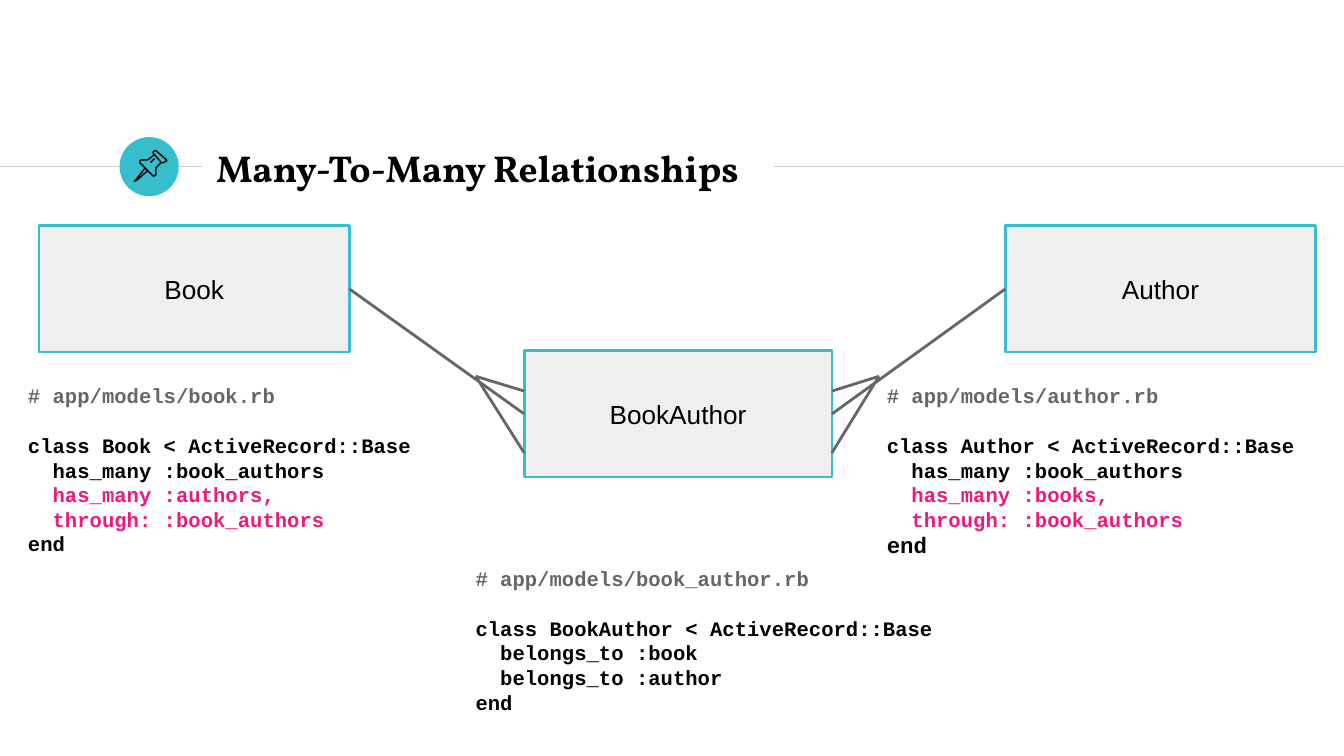
from pptx import Presentation
from pptx.dml.color import RGBColor
from pptx.enum.shapes import MSO_CONNECTOR, MSO_SHAPE
from pptx.enum.text import MSO_ANCHOR, MSO_AUTO_SIZE, PP_ALIGN
from pptx.oxml.ns import qn
from pptx.util import Inches, Pt
from lxml.etree import SubElement

BLACK, GRAY, PINK, TEAL = "000000", "666666", "ED197B", "37BECC"
PALE, RULE = "EFEFEF", "CCCCCC"

PIN_NEEDLE = [(1.08, 1.25), (1.01, 1.34), (1, 1.35), (1.02, 1.34), (1.1, 1.27)]
PIN_CAP = [(1.15, 1.15), (1.2, 1.21), (1.22, 1.21), (1.23, 1.2), (1.24, 1.2),
           (1.24, 1.19), (1.16, 1.12), (1.15, 1.12), (1.14, 1.13), (1.14, 1.14)]
PIN_BODY = [(1.15, 1.15), (1.1, 1.19), (1.07, 1.19), (1.05, 1.19), (1.04, 1.2),
            (1.04, 1.21), (1.14, 1.31), (1.15, 1.31), (1.16, 1.3), (1.16, 1.25),
            (1.2, 1.21)]
PIN_SHINE = [(1.12, 1.21), (1.15, 1.18)]

BOOK_CODE = [
    ("# app/models/book.rb", GRAY, 11),
    ("class Book < ActiveRecord::Base", BLACK, 11),
    ("  has_many :book_authors", BLACK, 11),
    ("  has_many :authors,", PINK, 11),
    ("  through: :book_authors", PINK, 11),
    ("end", BLACK, 11),
]
JOIN_CODE = [
    ("# app/models/book_author.rb", GRAY, 11),
    ("class BookAuthor < ActiveRecord::Base", BLACK, 11),
    ("  belongs_to :book", BLACK, 11),
    ("  belongs_to :author", BLACK, 11),
    ("end", BLACK, 11),
]
AUTHOR_CODE = [
    ("# app/models/author.rb", GRAY, 11),
    ("class Author < ActiveRecord::Base", BLACK, 11),
    ("  has_many :book_authors", BLACK, 11),
    ("  has_many :books,", PINK, 11),
    ("  through: :book_authors", PINK, 11),
    ("end", BLACK, 12),
]


def color(value):
    return RGBColor.from_string(value)


class SlideBuilder:
    """Holds the style and the current slide and draws each kind of element."""

    def __init__(self, slide):
        self.slide = slide
        self.shapes = slide.shapes
        self.label_font = "Arial"
        self.code_font = "Courier New"
        self.title_font = "Vollkorn"

    def style_font(self, font, name, size, value, bold=False):
        font.name = name
        font.size = Pt(size)
        font.bold = bold
        font.color.rgb = color(value)

    def style_frame(self, frame, anchor):
        frame.word_wrap = True
        frame.auto_size = MSO_AUTO_SIZE.NONE
        frame.vertical_anchor = anchor
        frame.margin_left = frame.margin_right = Inches(0.1)
        frame.margin_top = frame.margin_bottom = Inches(0.1)

    def title(self, text, left, top, width, height):
        title = self.shapes.title
        title.left, title.top = Inches(left), Inches(top)
        title.width, title.height = Inches(width), Inches(height)
        frame = title.text_frame
        frame.text = text
        self.style_frame(frame, MSO_ANCHOR.MIDDLE)
        para = frame.paragraphs[0]
        para.alignment = PP_ALIGN.LEFT
        self.style_font(para.runs[0].font, self.title_font, 20, BLACK, True)

    def line(self, start, end, value=GRAY, weight=1.5):
        line = self.shapes.add_connector(
            MSO_CONNECTOR.STRAIGHT, *map(Inches, start + end))
        line.line.color.rgb = color(value)
        line.line.width = Pt(weight)
        SubElement(line._element.spPr, qn("a:effectLst"))

    def disc(self, left, top, size):
        disc = self.shapes.add_shape(
            MSO_SHAPE.OVAL, Inches(left), Inches(top), Inches(size), Inches(size))
        disc.shadow.inherit = False
        disc.fill.solid()
        disc.fill.fore_color.rgb = color(TEAL)
        disc.line.fill.background()

    def outline(self, points, close):
        corners = [(Inches(x), Inches(y)) for x, y in points]
        builder = self.shapes.build_freeform(*corners[0])
        builder.add_line_segments(corners[1:], close=close)
        outline = builder.convert_to_shape()
        outline.shadow.inherit = False
        outline.fill.background()
        outline.line.color.rgb = color(BLACK)
        outline.line.width = Pt(0.75)

    def entity(self, text, left, top, width, height=0.94):
        box = self.shapes.add_shape(
            MSO_SHAPE.RECTANGLE, Inches(left), Inches(top), Inches(width), Inches(height))
        box.shadow.inherit = False
        box.fill.solid()
        box.fill.fore_color.rgb = color(PALE)
        box.line.color.rgb = color(TEAL)
        box.line.width = Pt(1.5)
        frame = box.text_frame
        frame.text = text
        self.style_frame(frame, MSO_ANCHOR.MIDDLE)
        para = frame.paragraphs[0]
        para.alignment = PP_ALIGN.CENTER
        self.style_font(para.runs[0].font, self.label_font, 14, BLACK)

    def code(self, lines, left, top, width, height=1.23):
        box = self.shapes.add_textbox(
            Inches(left), Inches(top), Inches(width), Inches(height))
        frame = box.text_frame
        frame.text = "\n".join(text for text, value, size in lines)
        self.style_frame(frame, MSO_ANCHOR.TOP)
        for para, (text, value, size) in zip(frame.paragraphs, lines):
            self.style_font(para.runs[0].font, self.code_font, size, value, True)
        frame.paragraphs[0].space_after = Pt(13.5)


def main():
    deck = Presentation()
    deck.slide_width = Inches(10)
    deck.slide_height = deck.slide_width * 9 // 16
    page = SlideBuilder(deck.slides.add_slide(deck.slide_layouts[5]))

    page.line((0, 1.24), (1.5, 1.24), RULE, 0.75)
    page.disc(0.89, 1.02, 0.44)
    page.line((5.76, 1.24), (10, 1.24), RULE, 0.75)
    page.title("Many-To-Many Relationships", 1.51, 1.01, 4.24, 0.48)
    for points, close in ((PIN_NEEDLE, True), (PIN_CAP, True),
                          (PIN_BODY, False), (PIN_SHINE, False)):
        page.outline(points, close)

    page.entity("Book", 0.29, 1.68, 2.31)
    page.entity("Author", 7.48, 1.68, 2.31)
    page.entity("BookAuthor", 3.9, 2.61, 2.29)

    for outer, fork, inner in ((2.6, 3.54, 3.9), (7.48, 6.54, 6.19)):
        page.line((outer, 2.15), (inner, 3.08))
        page.line((fork, 2.8), (inner, 2.91))
        page.line((fork, 2.8), (inner, 3.37))

    page.code(BOOK_CODE, 0.11, 2.75, 3.33)
    page.code(JOIN_CODE, 3.44, 4.11, 4.04)
    page.code(AUTHOR_CODE, 6.5, 2.75, 3.5)
    deck.save("out.pptx")


if __name__ == "__main__":
    main()
